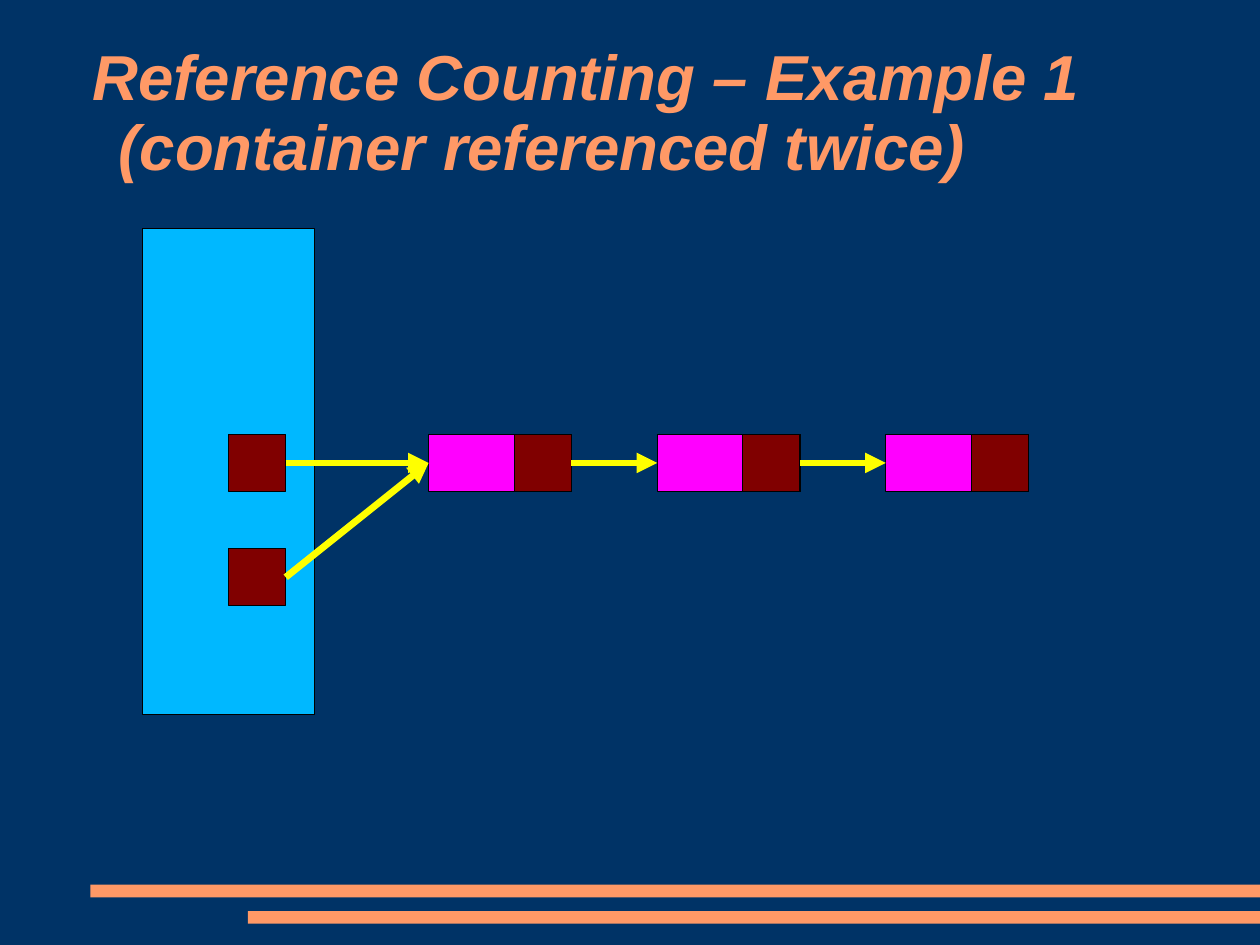
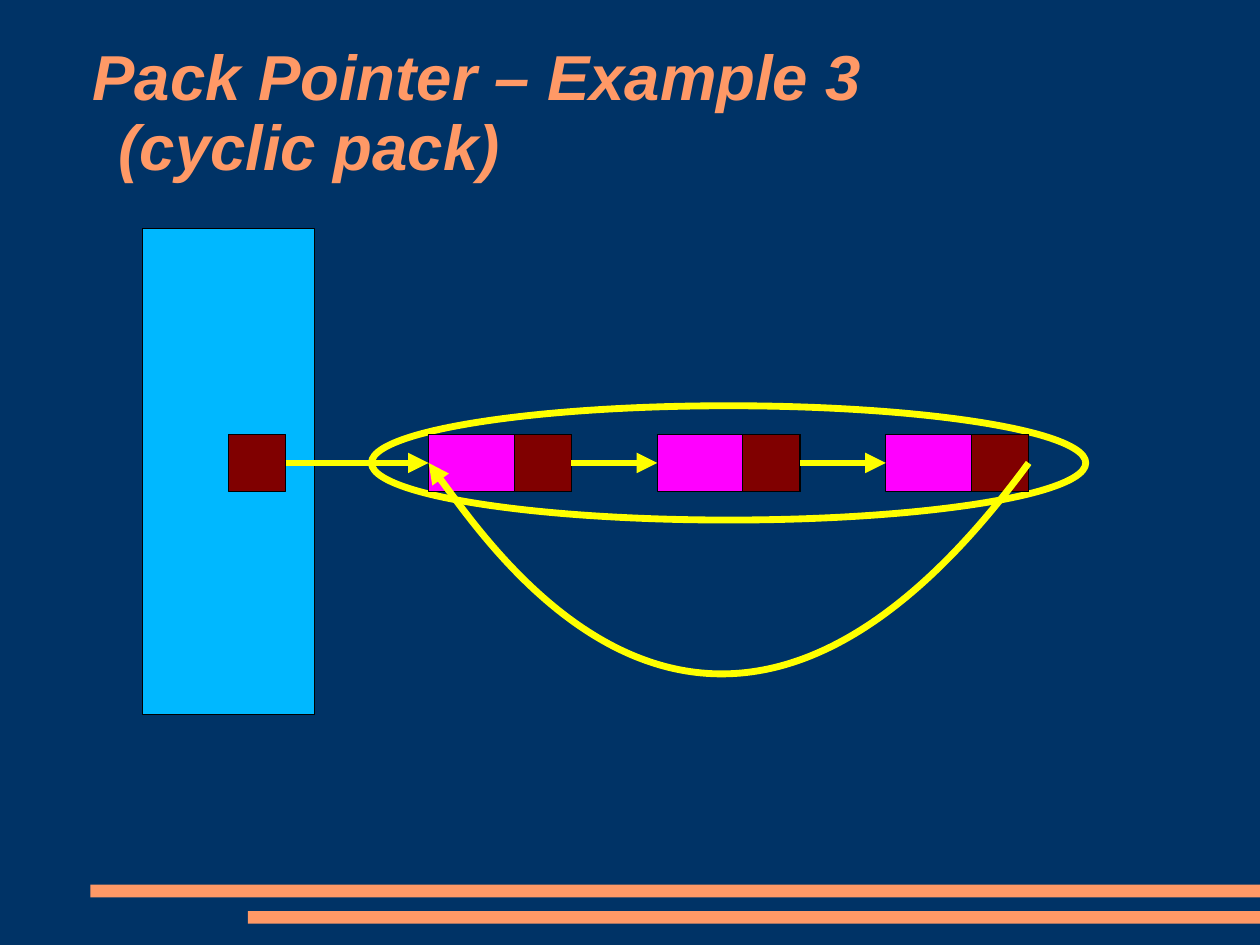
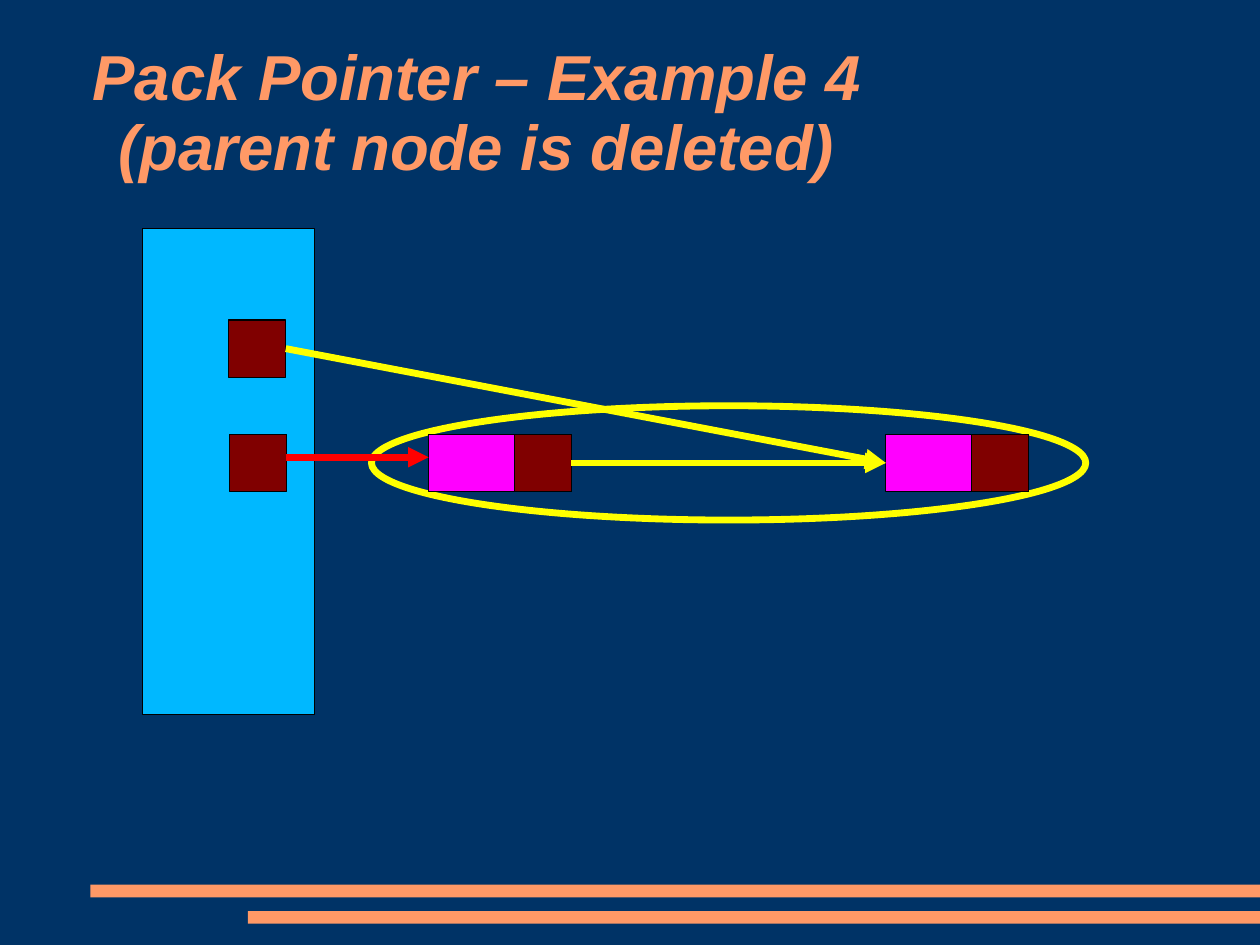
from typing import NamedTuple

from lxml import etree
from pptx import Presentation, util as u
from pptx.dml.color import RGBColor
from pptx.enum import shapes, text
from pptx.oxml.ns import qn

WIDTH, HEIGHT = u.Emu(10_080_625), u.Emu(7_559_675)
CELL = 0.5                        # grid square in inches, the size of a reference box
ORIGIN_X, ORIGIN_Y = 2, 3.8       # column 0, row 0
NODE_WIDTH = 2.5                  # in columns

NAVY, ORANGE, SKY, BLACK = "003366", "FF9966", "00B8FF", "000000"
MAGENTA, MAROON, YELLOW, RED = "FF00FF", "800000", "FFFF00", "FF0000"
STROKE, OUTLINE = 4.31, 0.75

TITLE_FONT, TITLE_SIZE, TITLE_INDENT = "Arial", 40, 0.23


class Point(NamedTuple):
    column: float
    row: float


class Area(NamedTuple):
    column: float
    row: float
    columns: float
    rows: float


class Arrow(NamedTuple):
    start: Point
    end: Point
    color: str = YELLOW


class Example(NamedTuple):
    title: tuple[str, str]
    roots: list[Point]
    nodes: list[float]            # left columns of the list nodes, all in row 0
    arrows: list[Arrow]
    packed: bool = False
    cyclic: bool = False


PANEL = Area(-1.5, -3.6, 3, 8.5)
PACK = Area(2.5, -0.5, 12.5, 2)
FIRST, SECOND, THIRD = (3.5 + 4 * i for i in range(3))
MIDDLE = 0.5
CYCLE = [Point(THIRD + NODE_WIDTH, MIDDLE), Point(8.5, 8),
         Point(FIRST, MIDDLE), Point(FIRST, MIDDLE)]


def link(node: float, following: float) -> Arrow:
    return Arrow(Point(node + NODE_WIDTH, MIDDLE), Point(following, MIDDLE))


def reference(row: float, node: float) -> Arrow:
    """Arrow from the root in the given row to a list node."""
    return Arrow(Point(1, row + MIDDLE), Point(node, MIDDLE))


CHAIN = [link(FIRST, SECOND), link(SECOND, THIRD)]

EXAMPLES = [
    Example(("Reference Counting – Example 1", "(container referenced twice)"),
            roots=[Point(0, 0), Point(0, 2)],
            nodes=[FIRST, SECOND, THIRD],
            arrows=[reference(0, FIRST), *CHAIN, reference(2, FIRST)]),
    Example(("Pack Pointer – Example 3", "(cyclic pack)"),
            roots=[Point(0, 0)],
            nodes=[FIRST, SECOND, THIRD],
            arrows=[*CHAIN, reference(0, FIRST)],
            packed=True, cyclic=True),
    Example(("Pack Pointer – Example 4", "(parent node is deleted)"),
            roots=[Point(0, -2), Point(0.02, 0)],
            nodes=[FIRST, THIRD],
            arrows=[reference(-2, THIRD), link(FIRST, THIRD),
                    Arrow(Point(1, 0.4), Point(FIRST, 0.4), RED)],
            packed=True),
]


def rgb(color: str) -> RGBColor:
    return RGBColor.from_string(color)


def to_emu(point: Point) -> tuple[int, int]:
    return (u.Inches(ORIGIN_X + point.column * CELL),
            u.Inches(ORIGIN_Y + point.row * CELL))


def set_line(shape, color: str, width: float) -> None:
    shape.line.color.rgb = rgb(color)
    shape.line.width = u.Pt(width)


def set_fill(shape, color: str) -> None:
    shape.fill.solid()
    shape.fill.fore_color.rgb = rgb(color)


def add_arrowhead(shape) -> None:
    line = shape.element.spPr.find(qn("a:ln"))
    etree.SubElement(line, qn("a:tailEnd"), type="triangle")


def add_on_grid(slide, kind: shapes.MSO_SHAPE, area: Area):
    shape = slide.shapes.add_shape(
        kind, *to_emu(Point(area.column, area.row)),
        u.Inches(area.columns * CELL), u.Inches(area.rows * CELL))
    shape.shadow.inherit = False
    return shape


def draw_box(slide, area: Area, color: str) -> None:
    box = add_on_grid(slide, shapes.MSO_SHAPE.RECTANGLE, area)
    set_fill(box, color)
    set_line(box, BLACK, OUTLINE)


def draw_pack(slide) -> None:
    pack = add_on_grid(slide, shapes.MSO_SHAPE.OVAL, PACK)
    pack.fill.background()
    set_line(pack, YELLOW, STROKE)


def draw_node(slide, column: float) -> None:
    """List node: a value with its reference box at the right end."""
    draw_box(slide, Area(column, 0, NODE_WIDTH, 1), MAGENTA)
    draw_box(slide, Area(column + NODE_WIDTH - 1, 0, 1, 1), MAROON)


def draw_arrow(slide, arrow: Arrow) -> None:
    connector = slide.shapes.add_connector(
        shapes.MSO_CONNECTOR.STRAIGHT, *to_emu(arrow.start), *to_emu(arrow.end))
    set_line(connector, arrow.color, STROKE)
    add_arrowhead(connector)
    etree.SubElement(connector.element.spPr, qn("a:effectLst"))


def draw_cycle(slide) -> None:
    """Arrow from the last node back to the first, as one Bézier curve."""
    start, *controls = map(to_emu, CYCLE)
    builder = slide.shapes.build_freeform(*start)
    builder.add_line_segments(controls, close=False)
    cycle = builder.convert_to_shape()
    cycle.shadow.inherit = False
    cycle.fill.background()
    set_line(cycle, YELLOW, STROKE)
    add_arrowhead(cycle)
    outline = next(cycle.element.iter(qn("a:path")))
    curve = etree.SubElement(outline, qn("a:cubicBezTo"))
    for segment in outline.findall(qn("a:lnTo")):
        curve.append(segment[0])
        outline.remove(segment)


def write_title(slide, lines: tuple[str, str]) -> None:
    title = slide.shapes.title
    title.left, title.top = u.Inches(0.81), u.Inches(0.31)
    title.width, title.height = u.Inches(9.41), u.Inches(1.38)
    frame = title.text_frame
    frame.margin_left = frame.margin_right = 0
    frame.margin_top = frame.margin_bottom = 0
    frame.vertical_anchor = text.MSO_ANCHOR.MIDDLE
    frame.auto_size = text.MSO_AUTO_SIZE.NONE
    frame.word_wrap = True

    paragraph = frame.paragraphs[0]
    paragraph.alignment = text.PP_ALIGN.LEFT
    paragraph.line_spacing = 0.93
    font = paragraph.font
    font.name, font.size = TITLE_FONT, u.Pt(TITLE_SIZE)
    font.bold = font.italic = True
    font.color.rgb = rgb(ORANGE)
    hanging = u.Inches(TITLE_INDENT)
    properties = next(title.element.iter(qn("a:pPr")))
    properties.set("marL", str(hanging))
    properties.set("indent", str(-hanging))

    subject, case = lines
    paragraph.add_run().text = subject
    paragraph.add_line_break()
    paragraph.add_run().text = case


def style_master(deck, slide) -> None:
    """Put the background and the two bottom bands on the slide master.

    The bands are made on the given slide and then moved to the master.
    """
    master = deck.slide_master
    set_fill(master.background, NAVY)
    for left, top in ((0.79, 7.74), (2.17, 7.97)):
        band = slide.shapes.add_shape(
            shapes.MSO_SHAPE.RECTANGLE, u.Inches(left), u.Inches(top),
            WIDTH - u.Inches(left), u.Inches(0.11))
        band.shadow.inherit = False
        set_fill(band, ORANGE)
        band.line.fill.background()
        master.shapes.element.append(band.element)


def draw_example(slide, example: Example) -> None:
    if example.packed:
        draw_pack(slide)
    write_title(slide, example.title)
    draw_box(slide, PANEL, SKY)
    for column in example.nodes:
        draw_node(slide, column)
    for root in example.roots:
        draw_box(slide, Area(*root, 1, 1), MAROON)
    for arrow in example.arrows:
        draw_arrow(slide, arrow)
    if example.cyclic:
        draw_cycle(slide)


def main() -> None:
    deck = Presentation()
    deck.slide_width, deck.slide_height = WIDTH, HEIGHT
    title_only = deck.slide_layouts.get_by_name("Title Only")
    slides = [deck.slides.add_slide(title_only) for _ in EXAMPLES]
    style_master(deck, slides[0])
    for slide, example in zip(slides, EXAMPLES):
        draw_example(slide, example)
    deck.save("out.pptx")


if __name__ == "__main__":
    main()
